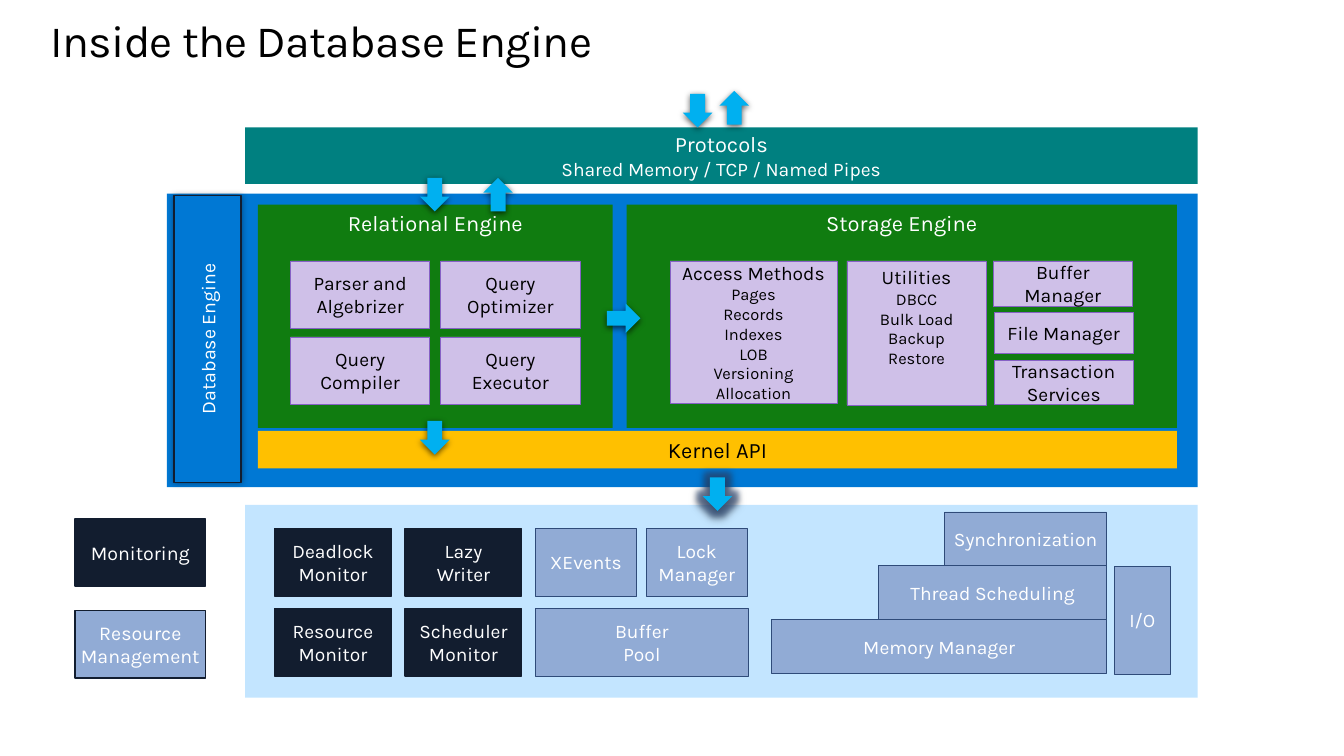
from dataclasses import dataclass
from typing import Optional

from lxml import etree
from pptx import Presentation
from pptx.dml.color import RGBColor
from pptx.enum.shapes import MSO_SHAPE
from pptx.enum.text import MSO_ANCHOR, PP_ALIGN
from pptx.oxml.ns import qn
from pptx.util import Inches, Pt

RECTANGLE, DOWN_ARROW = MSO_SHAPE.RECTANGLE, MSO_SHAPE.DOWN_ARROW
TOP, MIDDLE = MSO_ANCHOR.TOP, MSO_ANCHOR.MIDDLE
CENTER, LEFT = PP_ALIGN.CENTER, PP_ALIGN.LEFT

FONT = "Karla"
UNIT = Inches(0.1)  # the slide is a grid of 136 columns by 76.5 rows
COLUMNS, ROWS = 136, 76.5
COLORS = {
    "white": "FFFFFF", "black": "000000", "blue": "0078D4", "pale": "C3E5FF",
    "yellow": "FFC000", "teal": "008080", "green": "107C10", "lilac": "CFC0E8",
    "violet": "8661C5", "sky": "00B0F0", "steel": "91ABD5", "navy": "2F4B79",
    "ink": "121D2F",
}


@dataclass(frozen=True)
class Style:
    fill: str
    text: str = "white"
    line: Optional[str] = None
    weight: float = 0.5
    size: float = 14
    detail_size: float = 14
    anchor: MSO_ANCHOR = MIDDLE
    wrap: bool = False


@dataclass(frozen=True)
class Block:
    """A rectangle; the first line of its text is the heading, the rest are details."""
    left: float
    top: float
    width: float
    height: float
    style: Style
    lines: tuple[str, ...] = ()
    rotation: float = 0


@dataclass(frozen=True)
class Arrow:
    left: float
    top: float
    rotation: float = 0
    glow: bool = False


BACKDROP = Style("blue")
RESOURCES = Style("pale")
API = Style("yellow", "black", size=16)
PROTOCOLS = Style("teal", size=16)
ENGINE = Style("green", size=16, anchor=TOP)
PART = Style("lilac", "black", "violet", detail_size=12, wrap=True)
LIST = Style("lilac", "black", "violet", detail_size=12, anchor=TOP, wrap=True)
MONITOR = Style("ink", line="ink", weight=1)
RESOURCE = Style("steel", line="navy")
MONITOR_KEY = Style("ink", line="ink", weight=1, size=14.3, detail_size=14.3)
RESOURCE_KEY = Style("steel", line="ink", weight=1, size=14.3, detail_size=14.3)
ENGINE_LABEL = Style("blue", line="ink", weight=1, size=14.3)

PANELS = [
    Block(16.9, 19.6, 104.3, 29.7, BACKDROP),
    Block(24.8, 51.1, 96.4, 19.5, RESOURCES),
    Block(26.1, 43.6, 93, 3.8, API, ("Kernel API",)),
    Block(24.8, 12.9, 96.4, 5.7, PROTOCOLS,
          ("Protocols", "Shared Memory / TCP / Named Pipes")),
    Block(26.1, 20.7, 35.9, 22.6, ENGINE, ("Relational Engine",)),
    Block(63.4, 20.7, 55.7, 22.6, ENGINE, ("Storage Engine",)),
]
STORAGE_PARTS = [
    Block(67.8, 26.4, 16.9, 14.4, PART,
          ("Access Methods", "Pages", "Records", "Indexes", "LOB", "Versioning", "Allocation")),
    Block(85.7, 26.4, 14.1, 14.6, LIST,
          ("Utilities", "DBCC", "Bulk Load", "Backup", "Restore")),
    Block(100.5, 26.4, 14.1, 4.6, PART, ("Buffer Manager",)),
    Block(100.6, 31.6, 14.1, 4.2, PART, ("File Manager",)),
    Block(100.6, 36.5, 14.1, 4.4, PART, ("Transaction Services",)),
]
RESOURCE_BLOCKS = [
    Block(54.2, 53.5, 10.2, 6.8, RESOURCE, ("XEvents",)),
    Block(65.4, 53.5, 10.2, 6.8, RESOURCE, ("Lock", "Manager")),
    Block(54.2, 61.6, 21.5, 6.8, RESOURCE, ("Buffer", "Pool")),
    Block(112.8, 57.3, 5.6, 10.9, RESOURCE, ("I/O",)),
]
LABELS = [
    Block(7.6, 52.5, 13.2, 6.8, MONITOR_KEY, ("Monitoring",)),
    Block(7.6, 61.8, 13.2, 6.8, RESOURCE_KEY, ("Resource", "Management")),
]
DATABASE_ENGINE = Block(6.5, 30.9, 29, 6.8, ENGINE_LABEL, ("Database Engine",), 270)
QUERY_PARTS = [
    [("Parser and Algebrizer",), ("Query Optimizer",)],
    [("Query Compiler",), ("Query Executor",)],
]
MONITORS = [
    [("Deadlock", "Monitor"), ("Lazy", "Writer")],
    [("Resource", "Monitor"), ("Scheduler", "Monitor")],
]
STAIRS = [("Synchronization", 16.4), ("Thread Scheduling", 23.1), ("Memory Manager", 33.9)]
STAIRS_RIGHT, STAIRS_TOP, STAIR_HEIGHT = 112, 51.8, 5.45
ARROWS = [
    Arrow(69.1, 9.5), Arrow(72.8, 9.2, 180), Arrow(42.5, 18), Arrow(48.9, 18, 180),
    Arrow(61.6, 30.5, 270), Arrow(42.5, 42.6), Arrow(71.1, 48.3, glow=True),
]


def color(name: str) -> RGBColor:
    return RGBColor.from_string(COLORS[name])


def grid(units: float) -> int:
    return round(units * UNIT)


def add_effect(shape, kind: str, name: str, opacity: int, **sizes: int) -> None:
    effects = shape._element.spPr.find(qn("a:effectLst"))
    effect = etree.SubElement(effects, qn(f"a:{kind}"))
    for key, value in sizes.items():
        effect.set(key, str(value))
    tint = etree.SubElement(effect, qn("a:srgbClr"), val=COLORS[name])
    etree.SubElement(tint, qn("a:alpha"), val=str(opacity * 1000))


def add_shadow(shape, opacity: int, blur: float, distance: float) -> None:
    add_effect(shape, "outerShdw", "black", opacity, blurRad=Pt(blur),
               dist=Pt(distance), dir=90 * 60000)


def add_span(para, text: str, size: float, tint: str):
    span = para.add_run()
    span.text = text
    span.font.name, span.font.size = FONT, Pt(size)
    span.font.color.rgb = color(tint)
    return span


def add_block(slide, block: Block):
    style = block.style
    box = slide.shapes.add_shape(
        RECTANGLE, *map(grid, (block.left, block.top, block.width, block.height)))
    box.rotation = block.rotation
    box.shadow.inherit = False
    box.fill.solid()
    box.fill.fore_color.rgb = color(style.fill)
    if style.line:
        box.line.color.rgb = color(style.line)
        box.line.width = Pt(style.weight)
    else:
        box.line.fill.background()
    frame = box.text_frame
    frame.word_wrap, frame.vertical_anchor = style.wrap, style.anchor
    frame.margin_top = frame.margin_bottom = grid(0.5)
    for index, line in enumerate(block.lines):
        para = frame.add_paragraph() if index else frame.paragraphs[0]
        para.alignment = CENTER
        add_span(para, line, style.detail_size if index else style.size, style.text)
    return box


def add_blocks(slide, blocks: list[Block]) -> None:
    for block in blocks:
        add_block(slide, block)


def add_matrix(slide, names, first: Block, step_x: float, step_y: float) -> None:
    """Repeat the first block over rows and columns of names."""
    for row, row_names in enumerate(names):
        for column, lines in enumerate(row_names):
            add_block(slide, Block(first.left + column * step_x, first.top + row * step_y,
                                   first.width, first.height, first.style, lines))


def add_arrow(slide, arrow: Arrow) -> None:
    shape = slide.shapes.add_shape(
        DOWN_ARROW, grid(arrow.left), grid(arrow.top), grid(3), grid(3.4))
    shape.rotation = arrow.rotation
    shape.shadow.inherit = False
    shape.fill.solid()
    shape.fill.fore_color.rgb = color("sky")
    shape.line.fill.background()
    if arrow.glow:
        add_effect(shape, "glow", "navy", 60, rad=Pt(8))
    add_shadow(shape, 63, 4.5, 1.5)


def add_title(slide, text: str) -> None:
    title = slide.shapes.title
    title.left, title.top, title.width, title.height = map(grid, (5.1, 1.6, 121.4, 5.1))
    frame = title.text_frame
    frame.margin_left = frame.margin_right = frame.margin_top = frame.margin_bottom = 0
    frame.vertical_anchor = TOP
    para = frame.paragraphs[0]
    para.alignment, para.line_spacing = LEFT, Pt(36.9)
    span = add_span(para, text, 32.6, "black")
    span.font._element.set("spc", "-50")


def main() -> None:
    deck = Presentation()
    deck.slide_width, deck.slide_height = grid(COLUMNS), grid(ROWS)
    slide = deck.slides.add_slide(deck.slide_layouts[5])
    add_title(slide, "Inside the Database Engine")
    add_blocks(slide, PANELS)
    add_matrix(slide, QUERY_PARTS, Block(29.4, 26.4, 14.1, 6.8, PART), 15.2, 7.7)
    add_blocks(slide, STORAGE_PARTS)
    for step, (name, width) in enumerate(STAIRS):
        add_block(slide, Block(STAIRS_RIGHT - width, STAIRS_TOP + step * STAIR_HEIGHT,
                               width, STAIR_HEIGHT, RESOURCE, (name,)))
    add_blocks(slide, RESOURCE_BLOCKS)
    add_matrix(slide, MONITORS, Block(27.8, 53.5, 11.8, 6.8, MONITOR), 13.2, 8.1)
    add_blocks(slide, LABELS)
    add_shadow(add_block(slide, DATABASE_ENGINE), 40, 5, 0)
    for arrow in ARROWS:
        add_arrow(slide, arrow)
    deck.save("out.pptx")


if __name__ == "__main__":
    main()
